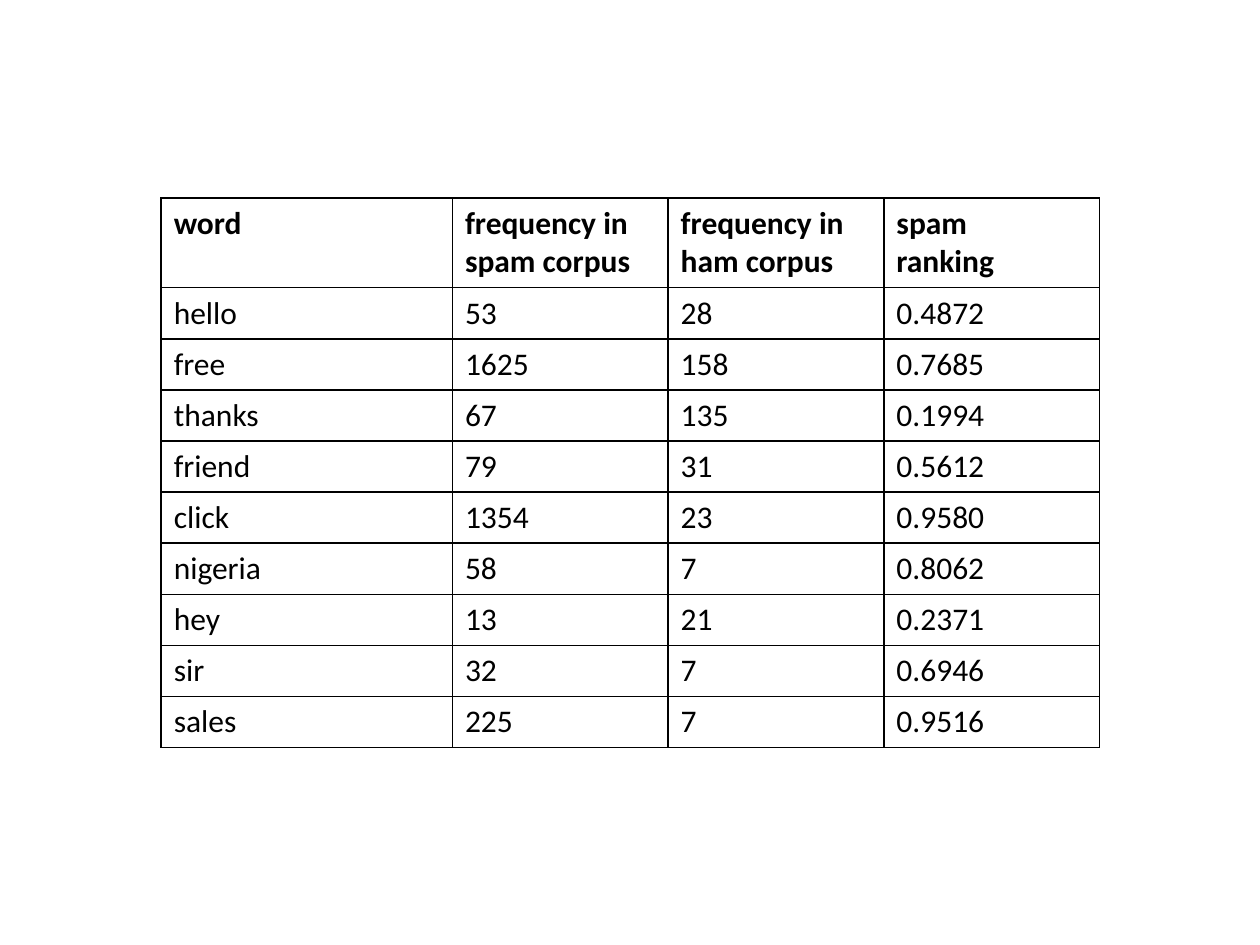
from lxml.etree import SubElement
from pptx import Presentation
from pptx.dml.color import RGBColor
from pptx.oxml.ns import qn
from pptx.util import Cm, Pt

BLACK = "000000"
FONT = "Calibri"
HEADER = ["word", "frequency in\nspam corpus", "frequency in\nham corpus", "spam\nranking"]
WORDS = [
    ("hello", "53", "28", "0.4872"),
    ("free", "1625", "158", "0.7685"),
    ("thanks", "67", "135", "0.1994"),
    ("friend", "79", "31", "0.5612"),
    ("click", "1354", "23", "0.9580"),
    ("nigeria", "58", "7", "0.8062"),
    ("hey", "13", "21", "0.2371"),
    ("sir", "32", "7", "0.6946"),
    ("sales", "225", "7", "0.9516"),
]
COLUMN_WIDTHS = [5.87, 4.35, 4.35, 4.35]
HEADER_HEIGHT = 1.81
ROW_HEIGHT = 1.03


def rgb(color):
    return RGBColor.from_string(color)


def set_borders(cell, color, width):
    tcPr = cell._tc.get_or_add_tcPr()
    for side in ("a:lnL", "a:lnR", "a:lnT", "a:lnB"):
        ln = SubElement(tcPr, qn(side), w=str(Pt(width)))
        fill = SubElement(ln, qn("a:solidFill"))
        SubElement(fill, qn("a:srgbClr"), val=color)


def fill_cell(cell, text, bold):
    set_borders(cell, BLACK, 1)
    cell.fill.background()
    cell.text_frame.text = text
    for p in cell.text_frame.paragraphs:
        for r in p.runs:
            r.font.name = FONT
            r.font.size = Pt(18)
            r.font.bold = bold
            r.font.color.rgb = rgb(BLACK)


def add_word_table(s, left, top):
    rows = [HEADER, *WORDS]
    heights = [HEADER_HEIGHT] + [ROW_HEIGHT] * len(WORDS)
    frame = s.shapes.add_table(
        len(rows), len(HEADER), Cm(left), Cm(top), Cm(sum(COLUMN_WIDTHS)), Cm(sum(heights))
    )
    table = frame.table
    table.horz_banding = False
    for column, width in zip(table.columns, COLUMN_WIDTHS):
        column.width = Cm(width)
    for i, (row, height, texts) in enumerate(zip(table.rows, heights, rows)):
        row.height = Cm(height)
        for cell, text in zip(row.cells, texts):
            fill_cell(cell, text, bold=i == 0)


def main():
    prs = Presentation()
    prs.slide_width, prs.slide_height = Cm(25.4), Cm(19.05)
    s = prs.slides.add_slide(prs.slide_layouts[6])
    add_word_table(s, 3.25, 3.99)
    prs.save("out.pptx")


if __name__ == "__main__":
    main()
